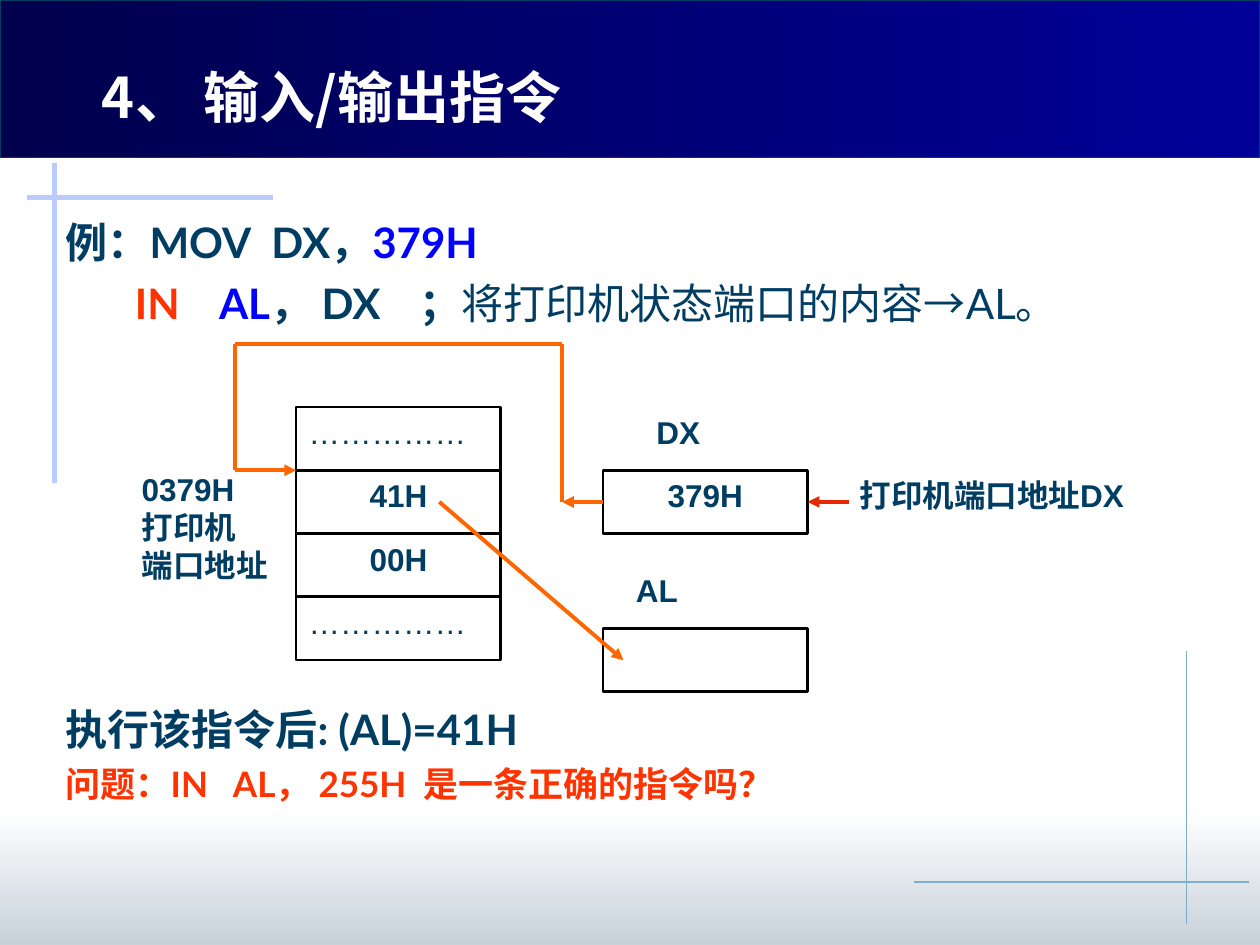
from itertools import pairwise

from lxml import etree
from pptx import Presentation
from pptx.dml.color import RGBColor
from pptx.enum.shapes import MSO_CONNECTOR, MSO_SHAPE
from pptx.enum.text import MSO_ANCHOR, MSO_AUTO_SIZE, PP_ALIGN
from pptx.oxml.ns import qn
from pptx.util import Inches, Pt

LEFT, CENTER = PP_ALIGN.LEFT, PP_ALIGN.CENTER
TOP, MIDDLE = MSO_ANCHOR.TOP, MSO_ANCHOR.MIDDLE
NO_FIT = MSO_AUTO_SIZE.NONE
STRAIGHT, RECTANGLE = MSO_CONNECTOR.STRAIGHT, MSO_SHAPE.RECTANGLE
LEFT_SIDE, RIGHT_SIDE = 1, 3
COLORS = {
    "ink": "003D62", "blue": "0000FF", "red": "FF3300", "white": "FFFFFF",
    "black": "000000", "route": "FF6600", "input": "E72800",
    "mist": "C8D1DA", "navy": "00004D", "royal": "000099",
    "lilac": "BBCBFD", "steel": "81ABCB",
}
FONTS = {"body": "Lato", "diagram": "Arial", "title": "Noto Sans CJK JP"}


class SlideBuilder:
    slide_width, slide_height = 10, 7.5
    grid_left, grid_top = 2.35, 3.23
    column, row = 4.06 / 25, 2.01 / 4

    def __init__(self, presentation):
        presentation.slide_width = Inches(self.slide_width)
        presentation.slide_height = Inches(self.slide_height)
        self.slide = presentation.slides.add_slide(presentation.slide_layouts[1])
        self.shapes = self.slide.shapes

    def color(self, name):
        return RGBColor.from_string(COLORS[name])

    def share(self, x, y):
        return Inches(x * self.slide_width), Inches(y * self.slide_height)

    def cell(self, column, row):
        return (Inches(self.grid_left + column * self.column),
                Inches(self.grid_top + row * self.row))

    def size(self, columns, rows):
        return Inches(columns * self.column), Inches(rows * self.row)

    def frame(self, shape, inset=(0.1, 0.05), anchor=TOP):
        horizontal, vertical = map(Inches, inset)
        values = {
            "word_wrap": True, "auto_size": NO_FIT, "vertical_anchor": anchor,
            "margin_left": horizontal, "margin_right": horizontal,
            "margin_top": vertical, "margin_bottom": vertical,
        }
        for name, value in values.items():
            setattr(shape.text_frame, name, value)
        return shape.text_frame

    def paragraph(self, frame, index, runs, font="diagram", points=18,
                  align=LEFT, before=0, indent=None):
        paragraph = frame.paragraphs[0] if index == 0 else frame.add_paragraph()
        if indent is not None:
            properties = paragraph._p.get_or_add_pPr()
            properties.set("marL", str(Inches(indent)))
            properties.set("indent", "0")
            etree.SubElement(properties, qn("a:buNone"))
        values = {"alignment": align, "space_before": Pt(before),
                  "space_after": Pt(0), "line_spacing": 1.0}
        for name, value in values.items():
            setattr(paragraph, name, value)
        for text, color, bold, *tracking in runs:
            run = paragraph.add_run()
            run.text = text
            run.font.color.rgb = self.color(color)
            for name, value in {"name": FONTS[font], "size": Pt(points), "bold": bold}.items():
                setattr(run.font, name, value)
            for extra in tracking:
                run._r.get_or_add_rPr().set("spc", str(round(extra * 100)))

    def place(self, placeholder, position, size):
        placeholder.left, placeholder.top = self.share(*position)
        placeholder.width, placeholder.height = self.share(*size)
        self.shapes._spTree.append(placeholder._element)

    def title(self, text, position, size):
        self.place(self.shapes.title, position, size)
        frame = self.frame(self.shapes.title, anchor=MIDDLE)
        self.paragraph(frame, 0, [(text, "white", True)], "title", 32, CENTER)

    def body(self, lines, position, size):
        body = self.slide.placeholders[1]
        self.place(body, position, size)
        frame = self.frame(body)
        for index, line in enumerate(lines):
            self.paragraph(frame, index, font="body", **line)

    def band(self, position, size, colors, angle, outline=None):
        band = self.shapes.add_shape(RECTANGLE, *self.share(*position), *self.share(*size))
        band.shadow.inherit = False
        band.fill.gradient()
        band.fill.gradient_angle = angle
        for stop, color, offset in zip(band.fill.gradient_stops, colors, (0, 1)):
            stop.color.rgb = self.color(color)
            stop.position = offset
        if outline:
            band.line.color.rgb = self.color(outline)
            band.line.width = Pt(0.75)
        else:
            band.line.fill.background()

    def box(self, column, row, text="", bold=True, align=CENTER):
        box = self.shapes.add_shape(RECTANGLE, *self.cell(column, row), *self.size(10, 1))
        box.shadow.inherit = False
        box.fill.solid()
        box.fill.fore_color.rgb = self.color("white")
        box.line.color.rgb = self.color("black")
        box.line.width = Pt(1.5)
        frame = self.frame(box)
        if text:
            self.paragraph(frame, 0, [(text, "ink", bold)], align=align)
        return box

    def label(self, column, row, columns, rows, lines, inset=(0.1, 0.05), align=LEFT):
        label = self.shapes.add_textbox(*self.cell(column, row), *self.size(columns, rows))
        frame = self.frame(label, inset)
        for index, text in enumerate(lines):
            self.paragraph(frame, index, [(text, "ink", True)], align=align)
        return label

    def line(self, start, end, color, width, arrow=False, source=None, target=None):
        line = self.shapes.add_connector(STRAIGHT, *start, *end)
        line.line.color.rgb = self.color(color)
        line.line.width = Pt(width)
        if arrow:
            etree.SubElement(line.line._get_or_add_ln(), qn("a:tailEnd"), type="triangle")
        etree.SubElement(line._element.spPr, qn("a:effectLst"))
        if source:
            line.begin_connect(*source)
        if target:
            line.end_connect(*target)


def main():
    presentation = Presentation()
    page = SlideBuilder(presentation)

    page.band((0, 0.856), (1, 0.144), ("white", "mist"), 270)
    page.band((0, 0), (1, 1 / 6), ("navy", "royal"), 0, "ink")
    for start, end, color, width in [
        ((113 / 120, 62 / 90), (113 / 120, 88 / 90), "steel", 0.75),
        ((87 / 120, 84 / 90), (119 / 120, 84 / 90), "steel", 0.75),
        ((26 / 120, 0.209), (2.6 / 120, 0.209), "lilac", 3),
        ((0.043, 0.173), (0.043, 0.511), "lilac", 3),
    ]:
        page.line(page.share(*start), page.share(*end), color, width)

    page.body([
        {"runs": [("例：MOV", "ink", True), (" ", "ink", True, 5.6),
                  ("DX，", "ink", True), ("379H", "blue", True)],
         "points": 24, "indent": 0},
        {"runs": [("IN", "red", True), (" ", "red", True, 16.7), ("AL", "blue", True),
                  ("， DX", "ink", True), (" ", "ink", True, 16.7), ("；", "ink", True),
                  ("将打印机状态端口的内容→AL。", "ink", False)],
         "points": 24, "before": 6, "indent": 0.55},
        {"runs": [("执行该指令后: (AL)=41H", "ink", True)],
         "points": 24, "before": 215, "indent": 0},
        {"runs": [("问题：IN", "red", True), (" ", "red", True, 9.3),
                  ("AL， 255H", "red", True), (" ", "red", True, 4.6),
                  ("是一条正确的指令吗？", "red", True)],
         "points": 20, "before": 5, "indent": 0},
    ], (0.042, 0.222), (0.917, 0.656))

    memory = [("……………", False, LEFT), ("41H", True, CENTER),
              ("00H", True, CENTER), ("……………", False, LEFT)]
    for row, (content, bold, align) in enumerate(memory):
        page.box(0, row, content, bold, align)
    dx_register = page.box(15, 1, "379H")
    page.box(15, 3.5)

    page.label(-7.55, 1, 7, 2, ["0379H", "打印机", "端口地址"], (0, 0))
    page.label(17, 0, 6, 1, ["DX"])
    page.label(16, 2.5, 6, 1, ["AL"])
    port_address = page.label(27, 1, 14, 1, ["打印机端口地址DX"], (0, 0.05), CENTER)

    page.line(page.cell(27, 1.5), page.cell(25, 1.5), "input", 2.25, True,
              (port_address, LEFT_SIDE), (dx_register, RIGHT_SIDE))
    page.line(page.cell(15, 1.5), page.cell(13, 1.5), "route", 2.25, True,
              (dx_register, LEFT_SIDE))
    address_route = [(13, 1.5), (13, -1), (-3, -1), (-3, 1), (0, 1)]
    for start, end in pairwise(address_route):
        page.line(page.cell(*start), page.cell(*end), "route", 2.25,
                  end == address_route[-1])
    page.line(page.cell(7, 1.5), page.cell(16, 4), "route", 2.25, True)

    page.title("4、 输入/输出指令", (-0.004, 0.059), (0.535, 0.085))
    presentation.save("out.pptx")


if __name__ == "__main__":
    main()
